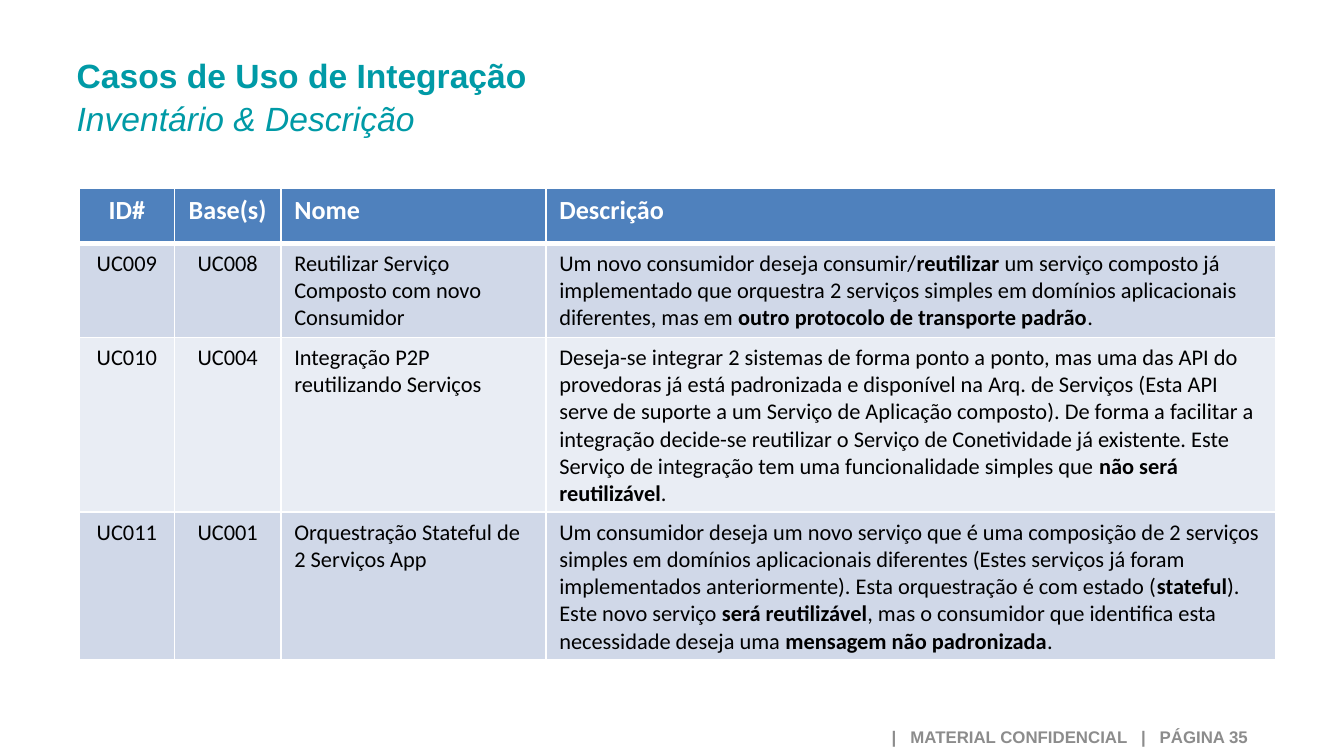
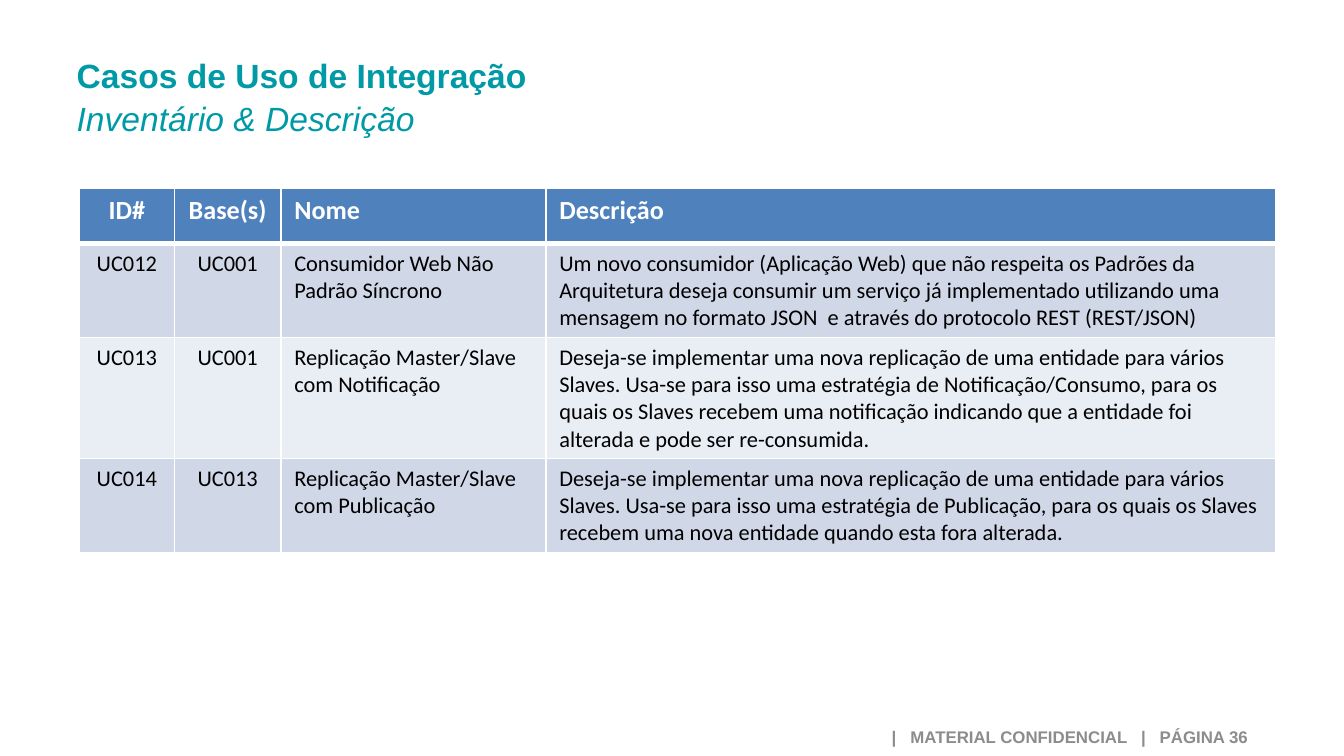
from lxml.etree import SubElement
from pptx import Presentation
from pptx.dml.color import RGBColor
from pptx.enum.text import MSO_ANCHOR, PP_ALIGN
from pptx.oxml.ns import qn
from pptx.util import Pt

COLORS = {
    "title": "009AA6",
    "footer": "8C8C8C",
    "header": "4F81BD",
    "odd_row": "D0D8E8",
    "even_row": "E9EDF4",
    "white": "FFFFFF",
    "black": "000000",
}
TITLE = {"name": "Arial", "size": Pt(18), "bold": True}
SUBTITLE = {"name": "Arial", "size": Pt(18), "bold": False, "italic": True}
FOOTER = {"name": "Arial", "size": Pt(9), "bold": True}
HEADER = {"name": "Calibri", "size": Pt(14), "bold": True}
BODY = {"name": "Calibri", "size": Pt(12), "bold": False}

HEADINGS = ("ID#", "Base(s)", "Nome", "Descrição")
COLUMN_WIDTHS = (51, 57, 142, 391)
ROW_HEIGHT = 29.5
FIRST_PAGE = 35

# Text between ** marks is bold.
USE_CASES = [
    [
        ("UC009", "UC008", "Reutilizar Serviço Composto com novo Consumidor",
         "Um novo consumidor deseja consumir/**reutilizar **um serviço composto já "
         "implementado que orquestra 2 serviços simples em domínios aplicacionais "
         "diferentes, mas em **outro protocolo de transporte padrão**."),
        ("UC010", "UC004", "Integração P2P reutilizando Serviços",
         "Deseja-se integrar 2 sistemas de forma ponto a ponto, mas uma das API do "
         "provedoras já está padronizada e disponível na Arq. de Serviços (Esta API "
         "serve de suporte a um Serviço de Aplicação composto). De forma a facilitar a "
         "integração decide-se reutilizar o Serviço de Conetividade já existente. Este "
         "Serviço de integração tem uma funcionalidade simples que "
         "**não será reutilizável**."),
        ("UC011", "UC001", "Orquestração Stateful de 2 Serviços App",
         "Um consumidor deseja um novo serviço que é uma composição de 2 serviços "
         "simples em domínios aplicacionais diferentes (Estes serviços já foram "
         "implementados anteriormente). Esta orquestração é com estado (**stateful**). "
         "Este novo serviço **será reutilizável**, mas o consumidor que identifica esta "
         "necessidade deseja uma **mensagem não padronizada**."),
    ],
    [
        ("UC012", "UC001", "Consumidor Web Não Padrão Síncrono",
         "Um novo consumidor (Aplicação Web) que não respeita os Padrões da "
         "Arquitetura deseja consumir um serviço já implementado utilizando uma "
         "mensagem no formato JSON  e através do protocolo REST (REST/JSON)"),
        ("UC013", "UC001", "Replicação Master/Slave com Notificação",
         "Deseja-se implementar uma nova replicação de uma entidade para vários "
         "Slaves. Usa-se para isso uma estratégia de Notificação/Consumo, para os "
         "quais os Slaves recebem uma notificação indicando que a entidade foi "
         "alterada e pode ser re-consumida."),
        ("UC014", "UC013", "Replicação Master/Slave com Publicação",
         "Deseja-se implementar uma nova replicação de uma entidade para vários "
         "Slaves. Usa-se para isso uma estratégia de Publicação, para os quais os "
         "Slaves recebem uma nova entidade quando esta fora alterada."),
    ],
]
TABLE_HEIGHTS = (253, 195)


def add_run(paragraph, text, color, font_values):
    run = paragraph.add_run()
    run.text = text
    run.font.color.rgb = RGBColor.from_string(COLORS[color])
    for attribute, value in font_values.items():
        setattr(run.font, attribute, value)


def add_borders(cell, widths):
    """Draw white borders; widths maps a side (L, R, T, B) to points."""
    properties = cell._tc.get_or_add_tcPr()
    for side, width in widths.items():
        line = SubElement(properties, qn(f"a:ln{side}"), w=str(Pt(width)))
        fill = SubElement(line, qn("a:solidFill"))
        SubElement(fill, qn("a:srgbClr"), val=COLORS["white"])


presentation = Presentation()
presentation.slide_width, presentation.slide_height = Pt(720), Pt(405)

for page, (use_cases, table_height) in enumerate(zip(USE_CASES, TABLE_HEIGHTS), FIRST_PAGE):
    slide = presentation.slides.add_slide(presentation.slide_layouts[6])

    title = slide.shapes.add_textbox(Pt(34), Pt(24.5), Pt(533), Pt(51))
    title.text_frame.word_wrap = True
    paragraph = title.text_frame.paragraphs[0]
    paragraph.line_spacing = 1.06
    add_run(paragraph, "Casos de Uso de Integração", "title", TITLE)
    paragraph.add_line_break()
    add_run(paragraph, "Inventário & Descrição", "title", SUBTITLE)

    footer = slide.shapes.add_textbox(Pt(371.5), Pt(384), Pt(304), Pt(21))
    footer.text_frame.word_wrap = True
    footer.text_frame.vertical_anchor = MSO_ANCHOR.MIDDLE
    paragraph = footer.text_frame.paragraphs[0]
    paragraph.alignment = PP_ALIGN.RIGHT
    add_run(paragraph, f"|   MATERIAL CONFIDENCIAL   |   PÁGINA {page}", "footer", FOOTER)

    rows = [HEADINGS, *use_cases]
    frame = slide.shapes.add_table(
        len(rows), len(HEADINGS), Pt(42.5), Pt(100.8), Pt(sum(COLUMN_WIDTHS)), Pt(table_height))
    table = frame.table
    for column, width in zip(table.columns, COLUMN_WIDTHS):
        column.width = Pt(width)
    for row in table.rows:
        row.height = Pt(ROW_HEIGHT)
    frame.height = Pt(table_height)

    for row_index, texts in enumerate(rows):
        is_header = row_index == 0
        font_values, text_color = (HEADER, "white") if is_header else (BODY, "black")
        row_color = "header" if is_header else "odd_row" if row_index % 2 else "even_row"
        widths = {"L": 1, "R": 1, "T": 3 if row_index == 1 else 1, "B": 3 if is_header else 1}
        for column_index, text in enumerate(texts):
            cell = table.cell(row_index, column_index)
            add_borders(cell, widths)
            cell.fill.solid()
            cell.fill.fore_color.rgb = RGBColor.from_string(COLORS[row_color])
            paragraph = cell.text_frame.paragraphs[0]
            paragraph.alignment = PP_ALIGN.CENTER if column_index < 2 else PP_ALIGN.LEFT
            for part_index, part in enumerate(text.split("**")):
                bold = is_header or part_index % 2 == 1
                add_run(paragraph, part, text_color, {**font_values, "bold": bold})

presentation.save("out.pptx")
